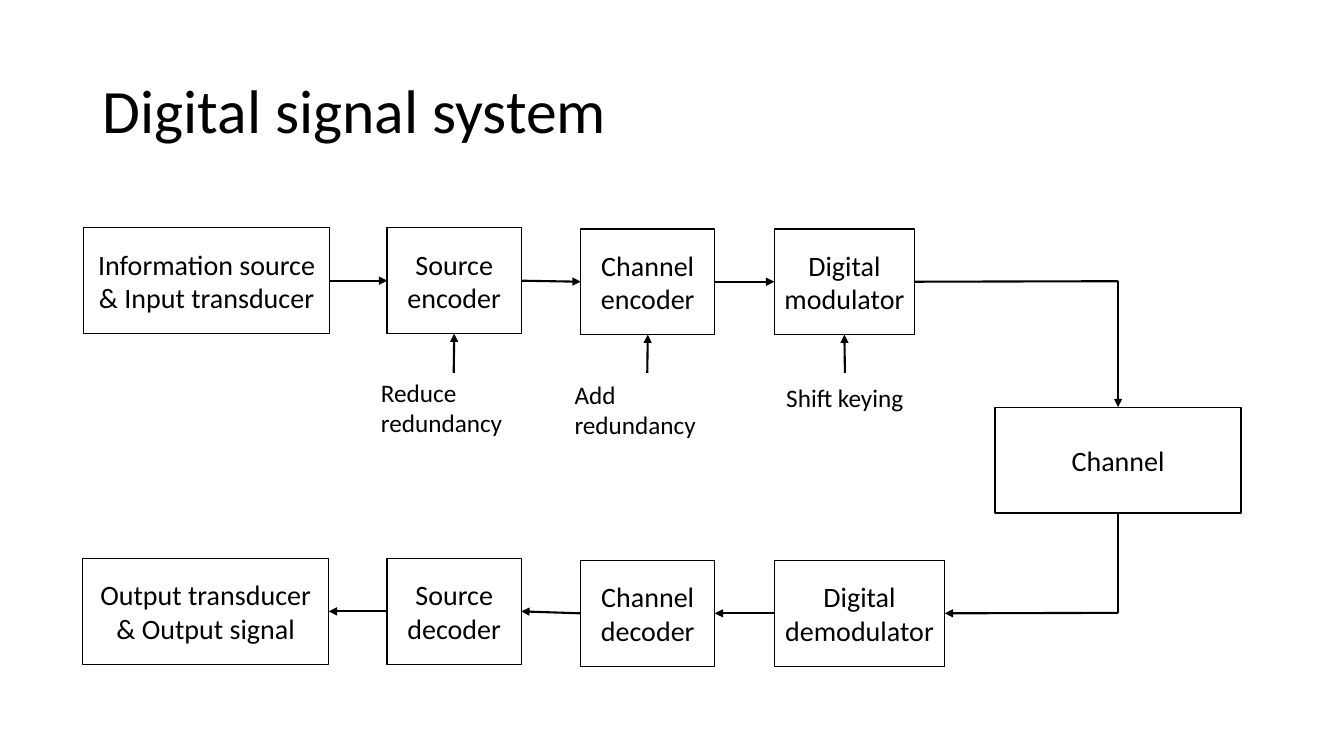
from dataclasses import dataclass

from lxml.etree import SubElement
from pptx import Presentation
from pptx.dml.color import RGBColor
from pptx.enum.shapes import MSO_CONNECTOR, MSO_SHAPE
from pptx.enum.text import MSO_ANCHOR, MSO_AUTO_SIZE, PP_ALIGN
from pptx.oxml.ns import qn
from pptx.shapes.autoshape import Shape
from pptx.util import Inches, Pt

TOP, LEFT, BOTTOM, RIGHT = range(4)


@dataclass(frozen=True)
class Theme:
    font: str = "Calibri"
    ink: RGBColor = RGBColor(0x00, 0x00, 0x00)
    paper: RGBColor = RGBColor(0xFF, 0xFF, 0xFF)
    title_size: int = 44
    block_size: int = 20
    note_size: int = 18
    outline: float = 1
    arrow: float = 1.5


def apply(target, values):
    for name, value in values.items():
        setattr(target, name, value)


class DiagramSlide:
    def __init__(self, deck, theme):
        self.theme = theme
        self.slide = deck.slides.add_slide(deck.slide_layouts[5])

    def set_text(self, frame, text, size, frame_format, paragraph_format):
        frame.text = text
        apply(frame, {"word_wrap": True, **frame_format})
        for paragraph in frame.paragraphs:
            apply(paragraph, paragraph_format)
            for run in paragraph.runs:
                apply(run.font, {"name": self.theme.font, "size": Pt(size)})
                run.font.color.rgb = self.theme.ink

    def title(self, text, left, top, width, height):
        heading = self.slide.shapes.title
        apply(heading, {"left": Inches(left), "top": Inches(top),
                        "width": Inches(width), "height": Inches(height)})
        self.set_text(heading.text_frame, text, self.theme.title_size,
                      {"vertical_anchor": MSO_ANCHOR.MIDDLE},
                      {"alignment": PP_ALIGN.LEFT, "line_spacing": 0.9})

    def block(self, text, left, top, width, height=1.05):
        block = self.slide.shapes.add_shape(
            MSO_SHAPE.RECTANGLE, Inches(left), Inches(top), Inches(width), Inches(height))
        block.shadow.inherit = False
        block.fill.solid()
        block.fill.fore_color.rgb = self.theme.paper
        block.line.color.rgb = self.theme.ink
        block.line.width = Pt(self.theme.outline)
        self.set_text(block.text_frame, text, self.theme.block_size,
                      {"vertical_anchor": MSO_ANCHOR.MIDDLE},
                      {"alignment": PP_ALIGN.CENTER})
        return block

    def note(self, text, left, top, height, width=1.64):
        note = self.slide.shapes.add_textbox(
            Inches(left), Inches(top), Inches(width), Inches(height))
        self.set_text(note.text_frame, text, self.theme.note_size,
                      {"auto_size": MSO_AUTO_SIZE.SHAPE_TO_FIT_TEXT},
                      {"alignment": PP_ALIGN.LEFT})

    def link(self, start, end, arrowhead=True):
        """Join two ends, each either an (x, y) point or a (block, side) pair."""
        points = [(0, 0) if isinstance(first, Shape) else (first, second)
                  for first, second in (start, end)]
        link = self.slide.shapes.add_connector(
            MSO_CONNECTOR.STRAIGHT, *(Inches(value) for point in points for value in point))
        for join, (first, side) in ((link.begin_connect, start), (link.end_connect, end)):
            if isinstance(first, Shape):
                join(first, side)
        link.line.color.rgb = self.theme.ink
        link.line.width = Pt(self.theme.arrow)
        properties = link._element.spPr
        if arrowhead:
            SubElement(properties.find(qn("a:ln")), qn("a:tailEnd"), type="triangle")
        SubElement(properties, qn("a:effectLst"))


def main():
    deck = Presentation()
    apply(deck, {"slide_width": Inches(13.33), "slide_height": Inches(7.5)})
    diagram = DiagramSlide(deck, Theme())
    diagram.title("Digital signal system", 0.92, 0.4, 11.5, 1.45)

    transmitter = [diagram.block(*place) for place in (
        ("Information source\n& Input transducer", 0.83, 2.26, 2.44),
        ("Source encoder", 3.84, 2.26, 1.33),
        ("Channel\nencoder", 5.76, 2.27, 1.33),
        ("Digital\nmodulator", 7.68, 2.27, 1.39),
    )]
    channel = diagram.block("Channel", 9.87, 4.04, 2.44)
    receiver = [diagram.block(*place) for place in (
        ("Digital\ndemodulator", 7.68, 5.56, 1.69),
        ("Channel\ndecoder", 5.76, 5.56, 1.33),
        ("Source decoder", 3.84, 5.54, 1.33),
        ("Output transducer\n& Output signal", 0.82, 5.54, 2.44),
    )]

    for stages, exit_side, entry_side in ((transmitter, RIGHT, LEFT), (receiver, LEFT, RIGHT)):
        for sender, follower in zip(stages, stages[1:]):
            diagram.link((sender, exit_side), (follower, entry_side))

    upper_corner, lower_corner = (11.09, 2.79), (11.09, 6.08)
    diagram.link((transmitter[-1], RIGHT), upper_corner, arrowhead=False)
    diagram.link(upper_corner, (channel, TOP))
    diagram.link((channel, BOTTOM), lower_corner, arrowhead=False)
    diagram.link(lower_corner, (receiver[0], RIGHT))

    notes = (
        ("Reduce redundancy", 3.68, 3.69, 0.71, 4.5),
        ("Add redundancy", 5.6, 3.71, 0.71, 6.42),
        ("Shift keying", 7.7, 3.74, 0.4, 8.38),
    )
    for coder, (text, left, top, height, arrow_x) in zip(transmitter[1:], notes):
        diagram.note(text, left, top, height)
        diagram.link((arrow_x, 3.7), (coder, BOTTOM))

    deck.save("out.pptx")


if __name__ == "__main__":
    main()
